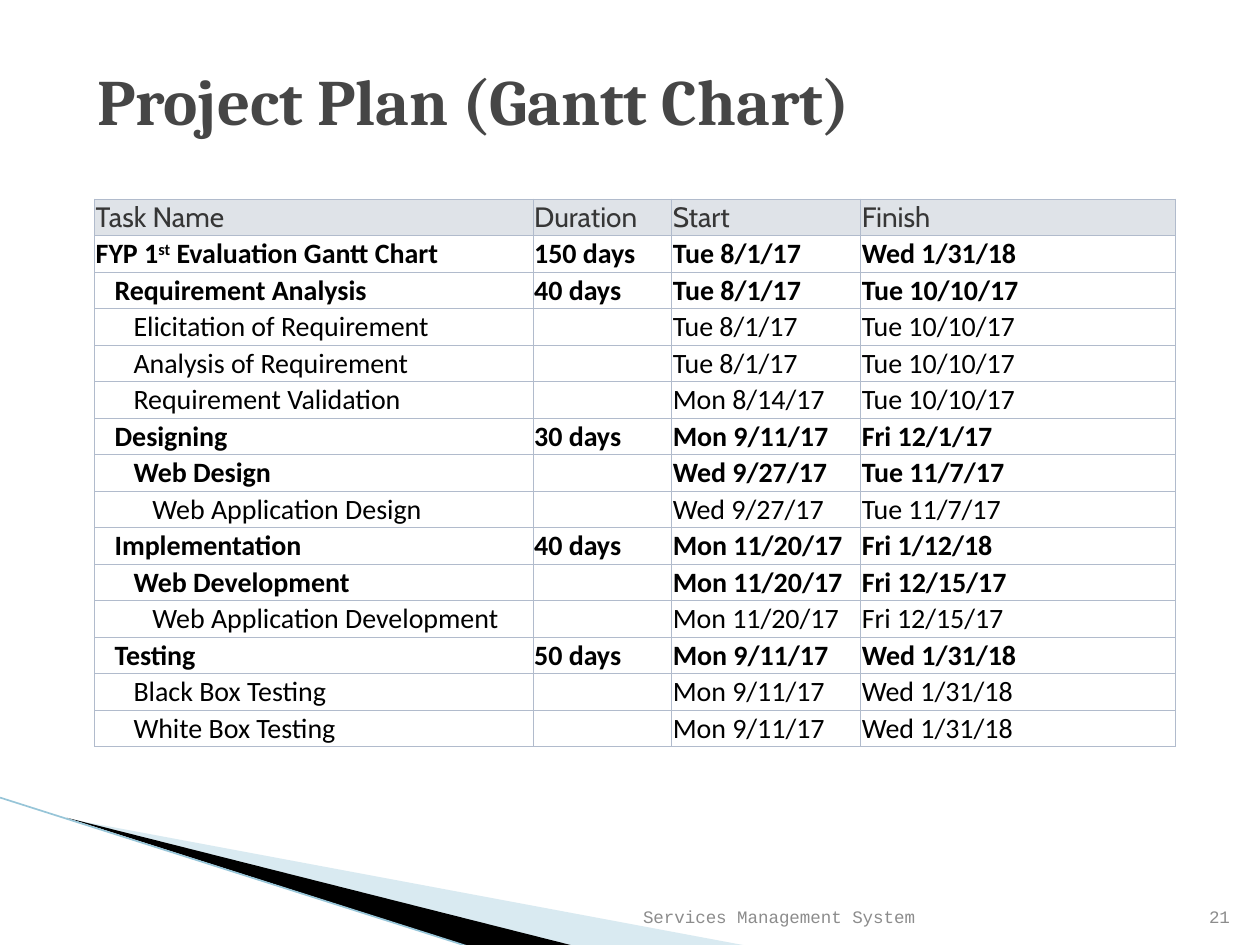
from lxml.etree import SubElement
from pptx import Presentation
from pptx.dml.color import RGBColor
from pptx.enum.shapes import MSO_CONNECTOR
from pptx.enum.text import MSO_ANCHOR, MSO_AUTO_SIZE, PP_ALIGN
from pptx.oxml.ns import qn
from pptx.util import Inches, Pt

WHITE = RGBColor(0xFF, 0xFF, 0xFF)
BLACK = RGBColor(0x00, 0x00, 0x00)
PALE_BLUE = RGBColor(0xA0, 0xCB, 0xDC)
EDGE_BLUE = RGBColor(0x97, 0xC5, 0xD8)
TITLE_GREY = RGBColor(0x46, 0x46, 0x46)
FOOTER_GREY = RGBColor(0x8C, 0x8C, 0x8C)
HEADER_FILL = RGBColor(0xDF, 0xE3, 0xE8)
HEADER_TEXT = RGBColor(0x36, 0x36, 0x36)
GRID = "B1BBCC"

COLUMN_WIDTHS = (3.48, 1.1, 1.5, 2.5)
ROW_HEIGHT = 0.29
CELL_INSET = 0.01
LEVEL_INDENT = 0.15
TABLE_SIZE = 16

HEADINGS = ("Task Name", "Duration", "Start", "Finish")
# Outline level, summary task, then one value per column
TASKS = [
    (0, True, "FYP 1^st^ Evaluation Gantt Chart", "150 days", "Tue 8/1/17", "Wed 1/31/18"),
    (1, True, "Requirement Analysis", "40 days", "Tue 8/1/17", "Tue 10/10/17"),
    (2, False, "Elicitation of Requirement", "", "Tue 8/1/17", "Tue 10/10/17"),
    (2, False, "Analysis of Requirement", "", "Tue 8/1/17", "Tue 10/10/17"),
    (2, False, "Requirement Validation", "", "Mon 8/14/17", "Tue 10/10/17"),
    (1, True, "Designing", "30 days", "Mon 9/11/17", "Fri 12/1/17"),
    (2, True, "Web Design", "", "Wed 9/27/17", "Tue 11/7/17"),
    (3, False, "Web Application Design", "", "Wed 9/27/17", "Tue 11/7/17"),
    (1, True, "Implementation", "40 days", "Mon 11/20/17", "Fri 1/12/18"),
    (2, True, "Web Development", "", "Mon 11/20/17", "Fri 12/15/17"),
    (3, False, "Web Application Development", "", "Mon 11/20/17", "Fri 12/15/17"),
    (1, True, "Testing", "50 days", "Mon 9/11/17", "Wed 1/31/18"),
    (2, False, "Black Box Testing", "", "Mon 9/11/17", "Wed 1/31/18"),
    (2, False, "White Box Testing", "", "Mon 9/11/17", "Wed 1/31/18"),
]


def write(frame, text, font="Calibri", size=TABLE_SIZE, color=BLACK, bold=False,
          align=PP_ALIGN.LEFT):
    """Fill a text frame; text between carets is superscript."""
    paragraph = frame.paragraphs[0]
    paragraph.alignment = align
    if not text:
        SubElement(paragraph._p, qn("a:endParaRPr"), sz=str(size * 100))
    for index, part in enumerate(text.split("^") if text else ()):
        run = paragraph.add_run()
        run.text = part
        run.font.name, run.font.size, run.font.bold = font, Pt(size), bold
        run.font.color.rgb = color
        if index % 2:
            run._r.get_or_add_rPr().set("baseline", "30000")


def add_wedge(slide, points, color, opacity=100):
    (left, top), *others = [(Inches(x), Inches(y)) for x, y in points]
    builder = slide.shapes.build_freeform(left, top)
    builder.add_line_segments(others)
    wedge = builder.convert_to_shape()
    wedge.shadow.inherit = False
    wedge.line.fill.background()
    wedge.fill.solid()
    wedge.fill.fore_color.rgb = color
    if opacity < 100:
        tint = wedge._element.spPr.find(".//" + qn("a:srgbClr"))
        SubElement(tint, qn("a:alpha"), val=str(opacity * 1000))


def add_corner_art(slide, left, top, width, height):
    """Draw the two wedges and the thin edge rising to the left."""
    right, bottom = left + width, top + height
    tip = left + 0.55, top + 0.17
    add_wedge(slide, [tip, (right, bottom), (left + 4.56, bottom)], PALE_BLUE, 40)
    add_wedge(slide, [(left + 0.53, top + 0.16), (left + 4.57, bottom),
                      (left + 3.72, bottom)], BLACK)
    edge = slide.shapes.add_connector(
        MSO_CONNECTOR.STRAIGHT, Inches(left), Inches(top),
        Inches(left + 3.71), Inches(bottom))
    edge.line.color.rgb = EDGE_BLUE
    edge.line.width = Pt(0.95)
    SubElement(edge._element.spPr, qn("a:effectLst"))


def add_title(slide, text, left, top, width, height):
    title = slide.shapes.title
    title.left, title.top = Inches(left), Inches(top)
    title.width, title.height = Inches(width), Inches(height)
    frame = title.text_frame
    frame.auto_size = MSO_AUTO_SIZE.NONE
    frame.vertical_anchor = MSO_ANCHOR.MIDDLE
    write(frame, text, font="Cambria", size=37, color=TITLE_GREY, bold=True)


def add_footer(slide, text, left, top, width, height):
    footer = slide.shapes.add_textbox(
        Inches(left), Inches(top), Inches(width), Inches(height))
    frame = footer.text_frame
    frame.word_wrap = True
    frame.vertical_anchor = MSO_ANCHOR.BOTTOM
    write(frame, text, font="Courier New", size=10, color=FOOTER_GREY,
          align=PP_ALIGN.RIGHT)


def style_cell(cell, fill, level=0):
    cell.margin_left = Inches(CELL_INSET + level * LEVEL_INDENT)
    cell.margin_right = cell.margin_top = cell.margin_bottom = Inches(CELL_INSET)
    cell.vertical_anchor = MSO_ANCHOR.MIDDLE
    properties = cell._tc.get_or_add_tcPr()
    for side in ("lnL", "lnR", "lnT", "lnB"):
        border = SubElement(properties, qn(f"a:{side}"), w=str(Pt(0.5)))
        SubElement(SubElement(border, qn("a:solidFill")), qn("a:srgbClr"), val=GRID)
    cell.fill.solid()
    cell.fill.fore_color.rgb = fill


def add_task_table(slide, left, top):
    row_count = len(TASKS) + 1
    table = slide.shapes.add_table(
        row_count, len(HEADINGS), Inches(left), Inches(top),
        Inches(sum(COLUMN_WIDTHS)), Inches(row_count * ROW_HEIGHT)).table
    table.first_row = table.horz_banding = False
    for column, width in zip(table.columns, COLUMN_WIDTHS):
        column.width = Inches(width)
    for row in table.rows:
        row.height = Inches(ROW_HEIGHT)
    for column, heading in enumerate(HEADINGS):
        cell = table.cell(0, column)
        style_cell(cell, HEADER_FILL)
        write(cell.text_frame, heading, font="Cabin", color=HEADER_TEXT)
    for row, (level, is_summary, *values) in enumerate(TASKS, start=1):
        for column, value in enumerate(values):
            cell = table.cell(row, column)
            style_cell(cell, WHITE, level if column == 0 else 0)
            write(cell.text_frame, value, bold=is_summary)


def main():
    deck = Presentation()
    deck.slide_width, deck.slide_height = Inches(10), Inches(7.5)
    slide = deck.slides.add_slide(deck.slide_layouts[5])
    add_corner_art(slide, 0, 6.33, 5.95, 1.18)
    add_footer(slide, "21", 9.46, 7.01, 0.4, 0.4)
    add_task_table(slide, 0.75, 1.58)
    add_footer(slide, "Services Management System", 4.79, 7.01, 2.57, 0.4)
    add_title(slide, "Project Plan (Gantt Chart)", 0.67, 0.25, 8.33, 1.08)
    deck.save("out.pptx")


if __name__ == "__main__":
    main()
